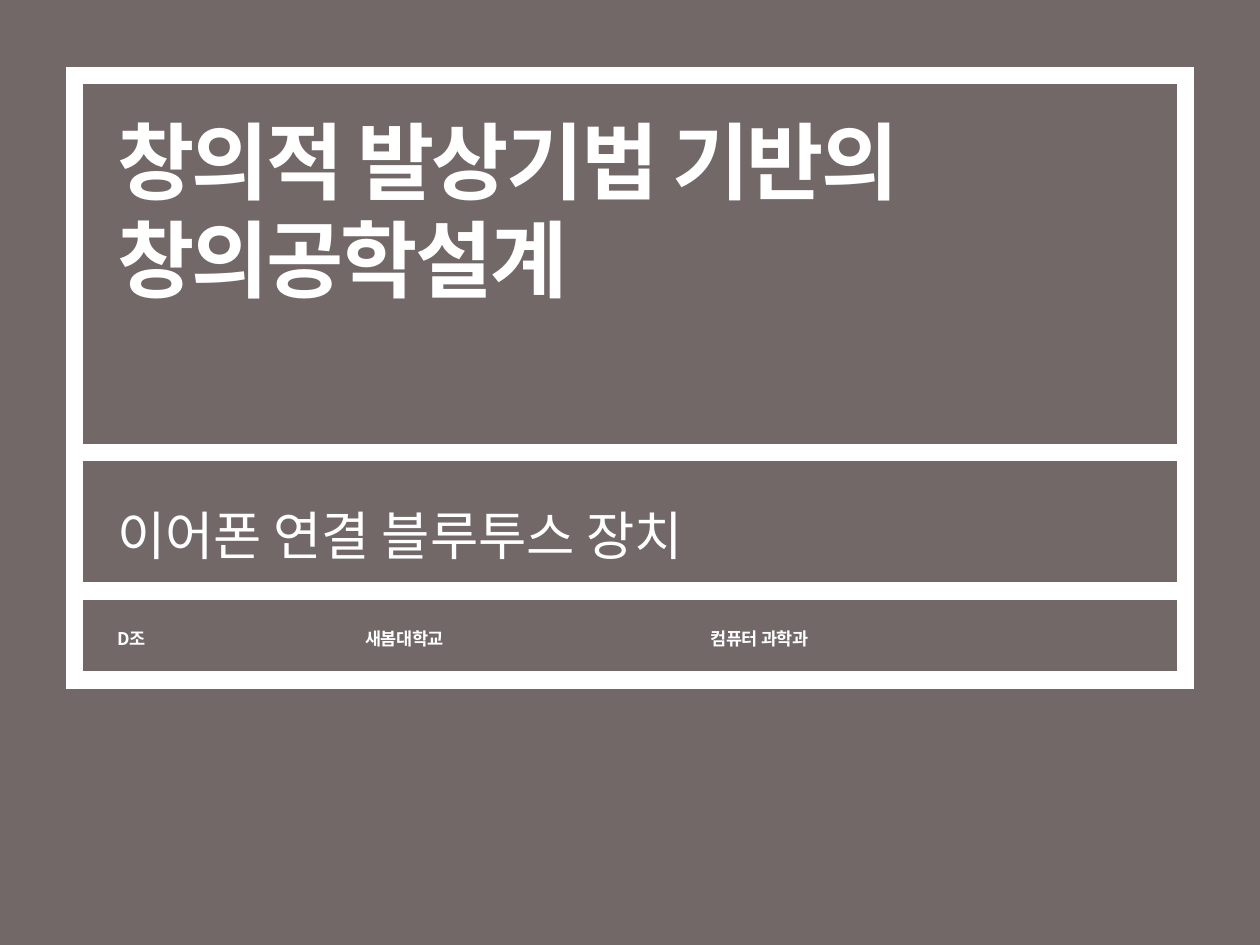
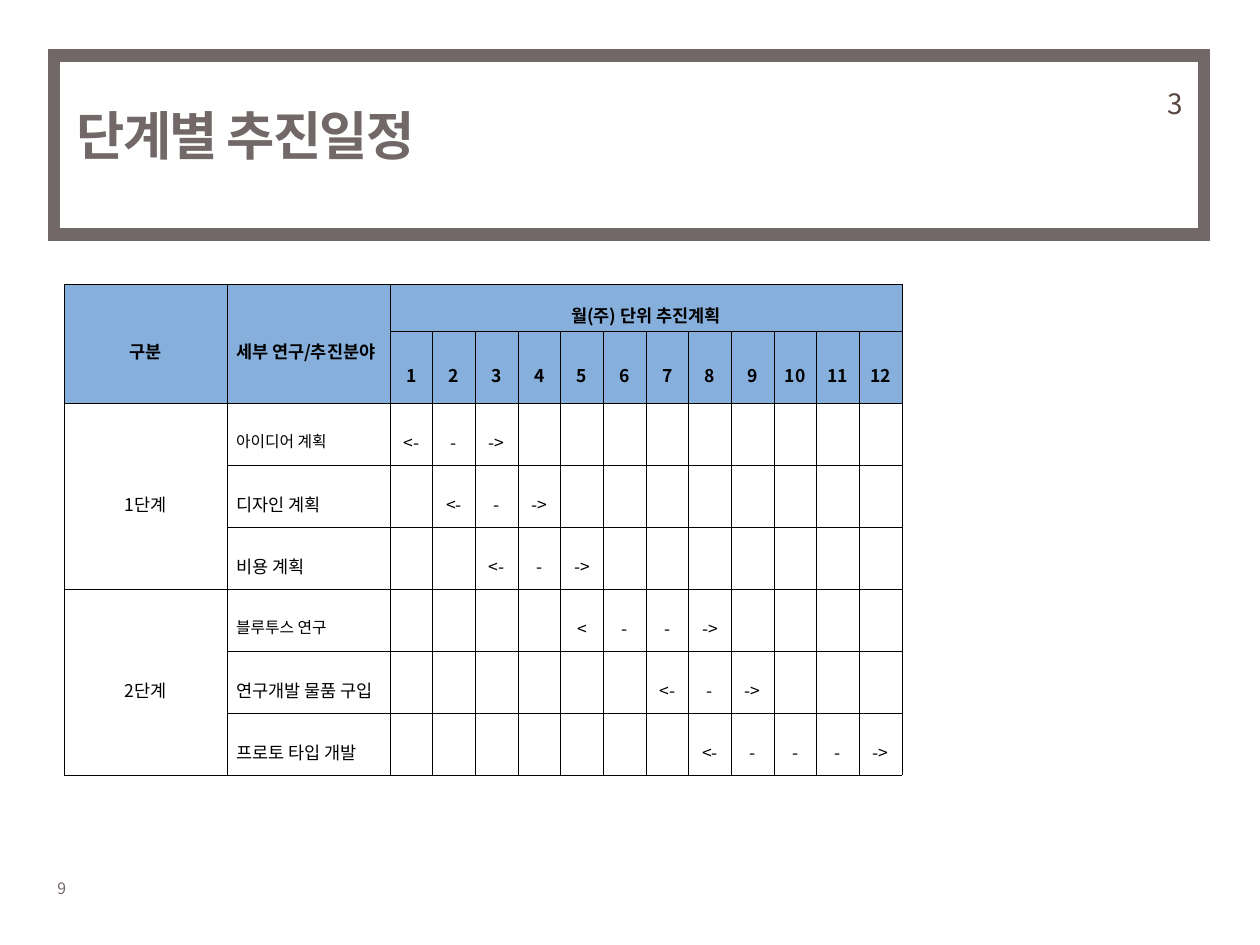
"""Builds a cover slide and a stage-by-stage schedule slide."""
import pptx
import pptx.dml.color
import pptx.enum.shapes
import pptx.enum.text
import pptx.oxml
import pptx.oxml.ns
import pptx.util
from pptx.util import Cm, Pt

COLORS = {"taupe": "726868", "white": "FFFFFF", "brown": "594740",
          "black": "000000", "header": "86AFDC"}
FONT = "Noto Sans CJK KR"
ALIGN = pptx.enum.text.PP_ALIGN
ANCHOR = pptx.enum.text.MSO_ANCHOR
SLIDE_SIZE = (25.4, 19.05)

COVER_TITLE = ["창의적 발상기법 기반의", "창의공학설계"]
COVER_TOPIC = "이어폰 연결 블루투스 장치"
COVER_CREDITS = [("D조", 2.11, 6.1), ("새봄대학교", 7.11, 7.19), ("컴퓨터 과학과", 14.07, 6.1)]
COVER_LEFT, COVER_TOP, COVER_WIDTH = 1.5, 1.52, 22.4
COVER_BAND_HEIGHTS = [7.6, 2.79, 1.8]

SCHEDULE_TITLE = "단계별 추진일정"
SECTION_NUMBER = "3"
PAGE_NUMBER = "9"
HEADINGS = ["구분", "세부 연구/추진분야", "월(주) 단위 추진계획"]
MONTHS = 12
STAGES = [
    ("1단계", [("아이디어 계획", 9, 1, ["<-", "-", "->"]),
             ("디자인 계획", 10, 2, ["<-", "-", "->"]),
             ("비용 계획", 10, 3, ["<-", "-", "->"])]),
    ("2단계", [("블루투스 연구", 9, 5, ["<", "-", "-", "->"]),
             ("연구개발 물품 구입", 10, 7, ["<-", "-", "->"]),
             ("프로토 타입 개발", 10, 8, ["<-", "-", "-", "-", "->"])]),
]
LABEL_WIDTH, MONTH_WIDTH = 3.28, 0.86
HEADER_HEIGHT, TASK_HEIGHT = 0.94, 1.25


def rgb(color):
    return pptx.dml.color.RGBColor.from_string(COLORS[color])


def add_run(paragraph, text, size, color, bold=False, spacing=0):
    run = paragraph.add_run()
    run.text = text
    run.font.size = Pt(size)
    run.font.bold = bold
    run.font.color.rgb = rgb(color)
    run.font.name = FONT
    properties = run.font._element
    east_asian = pptx.oxml.parse_xml(
        f'<a:ea {pptx.oxml.ns.nsdecls("a")} typeface="{FONT}"/>')
    properties.find(pptx.oxml.ns.qn("a:latin")).addnext(east_asian)
    if spacing:
        properties.set("spc", str(round(spacing * 100)))


def add_text(slide, box, lines, size, color, bold=False, spacing=0, leading=None,
             before=None, align=ALIGN.LEFT, anchor=ANCHOR.TOP, wrap=True):
    frame = slide.shapes.add_textbox(*map(Cm, box)).text_frame
    frame.word_wrap = wrap
    frame.vertical_anchor = anchor
    paragraph = frame.paragraphs[0]
    paragraph.alignment = align
    paragraph.line_spacing = leading
    paragraph.space_before = before
    for index, line in enumerate(lines):
        if index:
            paragraph.add_line_break()
        add_run(paragraph, line, size, color, bold, spacing)


def add_rectangle(slide, box, fill=None, line=None, width=0):
    rectangle = slide.shapes.add_shape(
        pptx.enum.shapes.MSO_SHAPE.RECTANGLE, *map(Cm, box))
    rectangle.shadow.inherit = False
    if fill:
        rectangle.fill.solid()
        rectangle.fill.fore_color.rgb = rgb(fill)
    else:
        rectangle.fill.background()
    if line:
        rectangle.line.color.rgb = rgb(line)
        rectangle.line.width = Pt(width)
        rectangle.line._get_or_add_ln().append(pptx.oxml.parse_xml(
            f'<a:miter {pptx.oxml.ns.nsdecls("a")} lim="800000"/>'))
    else:
        rectangle.line.fill.background()


def style_cell(cell, fill=None):
    cell.margin_left = cell.margin_right = Cm(0.18)
    cell.margin_top = cell.margin_bottom = Cm(0.05)
    cell.vertical_anchor = ANCHOR.MIDDLE
    if fill:
        cell.fill.solid()
        cell.fill.fore_color.rgb = rgb(fill)
    else:
        cell.fill.background()
    for index, side in enumerate(("lnL", "lnR", "lnT", "lnB")):
        cell._tc.get_or_add_tcPr().insert(index, pptx.oxml.parse_xml(
            f'<a:{side} {pptx.oxml.ns.nsdecls("a")} w="{int(Pt(0.28))}"><a:solidFill>'
            f'<a:srgbClr val="{COLORS["black"]}"/></a:solidFill></a:{side}>'))


def write_cell(cell, text, size=10, bold=False, align=ALIGN.CENTER):
    paragraph = cell.text_frame.paragraphs[0]
    paragraph.alignment = align
    paragraph.line_spacing = 1.6
    add_run(paragraph, text, size, "black", bold)


def build_cover(slide):
    add_rectangle(slide, (0, 0, *SLIDE_SIZE), fill="taupe")
    top = COVER_TOP
    for height in COVER_BAND_HEIGHTS:
        add_rectangle(slide, (COVER_LEFT, top, COVER_WIDTH, height), line="white", width=10)
        top += height
    add_text(slide, (2.11, 2.13, 19.81, 6.2), COVER_TITLE, 48, "white",
             bold=True, spacing=-1.5, leading=Pt(56))
    add_text(slide, (2.11, 9.32, 16.99, 2.21), [COVER_TOPIC], 30, "white", leading=Pt(56))
    for credit, left, width in COVER_CREDITS:
        add_text(slide, (left, 12.32, width, 2.21), [credit], 10, "white",
                 bold=True, spacing=-0.2, leading=1.5, before=Pt(2))


def build_schedule(slide):
    add_text(slide, (0.91, 17.6, 1.32, 0.64), [PAGE_NUMBER], 9, "taupe", wrap=False)
    add_text(slide, (1.3, 1.12, 20.4, 3.2), [SCHEDULE_TITLE], 30, "taupe",
             bold=True, spacing=-1, anchor=ANCHOR.MIDDLE)
    add_rectangle(slide, (1.09, 1.12, 23.19, 3.61), line="taupe", width=7)
    add_text(slide, (19.53, 0.33, 4.57, 3), [SECTION_NUMBER], 16, "brown",
             leading=Pt(56), align=ALIGN.RIGHT)

    widths = [LABEL_WIDTH] * 2 + [MONTH_WIDTH] * MONTHS
    heights = [HEADER_HEIGHT] * 2 + [TASK_HEIGHT] * sum(len(tasks) for _, tasks in STAGES)
    schedule = slide.shapes.add_table(
        len(heights), len(widths), Cm(1.3), Cm(5.73),
        Cm(sum(widths)), Cm(sum(heights))).table
    schedule.first_row = schedule.horz_banding = False
    for column, width in zip(schedule.columns, widths):
        column.width = Cm(width)
    for index, (row, height) in enumerate(zip(schedule.rows, heights)):
        row.height = Cm(height)
        for cell in row.cells:
            style_cell(cell, "header" if index < 2 else None)

    for column, heading in enumerate(HEADINGS):
        last = (0, MONTHS + 1) if column == 2 else (1, column)
        schedule.cell(0, column).merge(schedule.cell(*last))
        write_cell(schedule.cell(0, column), heading, bold=True,
                   align=ALIGN.JUSTIFY if column == 1 else ALIGN.CENTER)
    for month in range(1, MONTHS + 1):
        write_cell(schedule.cell(1, month + 1), str(month), bold=True)

    row = 2
    for stage, tasks in STAGES:
        schedule.cell(row, 0).merge(schedule.cell(row + len(tasks) - 1, 0))
        write_cell(schedule.cell(row, 0), stage)
        for task, size, start, marks in tasks:
            write_cell(schedule.cell(row, 1), task, size, align=ALIGN.JUSTIFY)
            for month, mark in enumerate(marks, start):
                write_cell(schedule.cell(row, month + 1), mark)
            row += 1


deck = pptx.Presentation()
deck.slide_width, deck.slide_height = map(Cm, SLIDE_SIZE)
for build in (build_cover, build_schedule):
    build(deck.slides.add_slide(deck.slide_layouts[6]))
deck.save("out.pptx")
